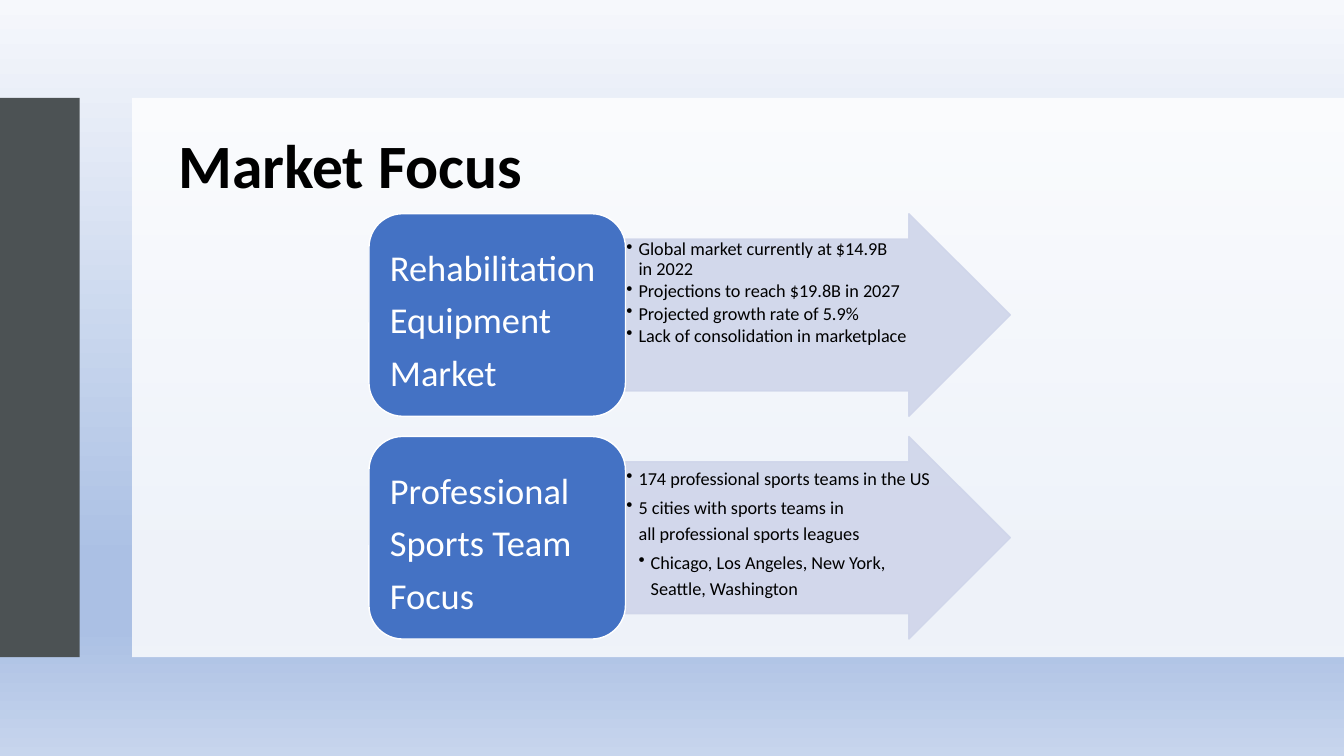
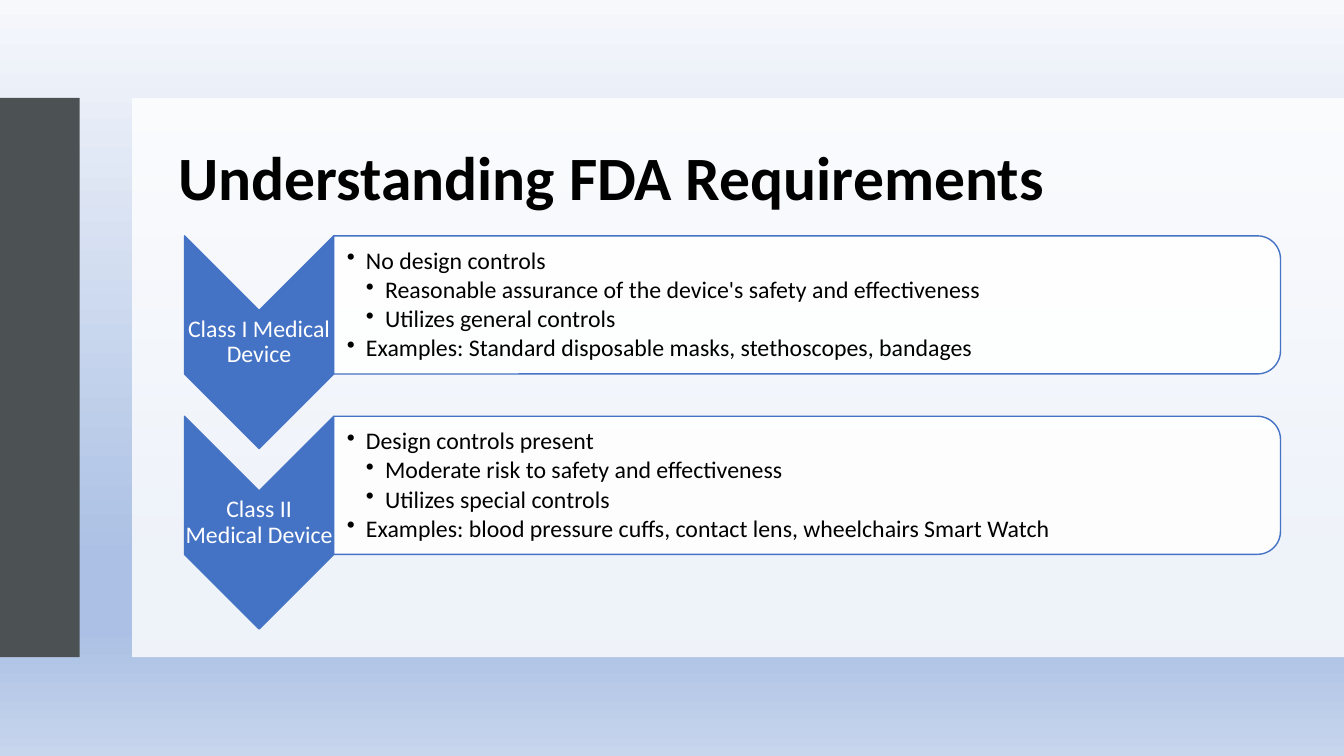
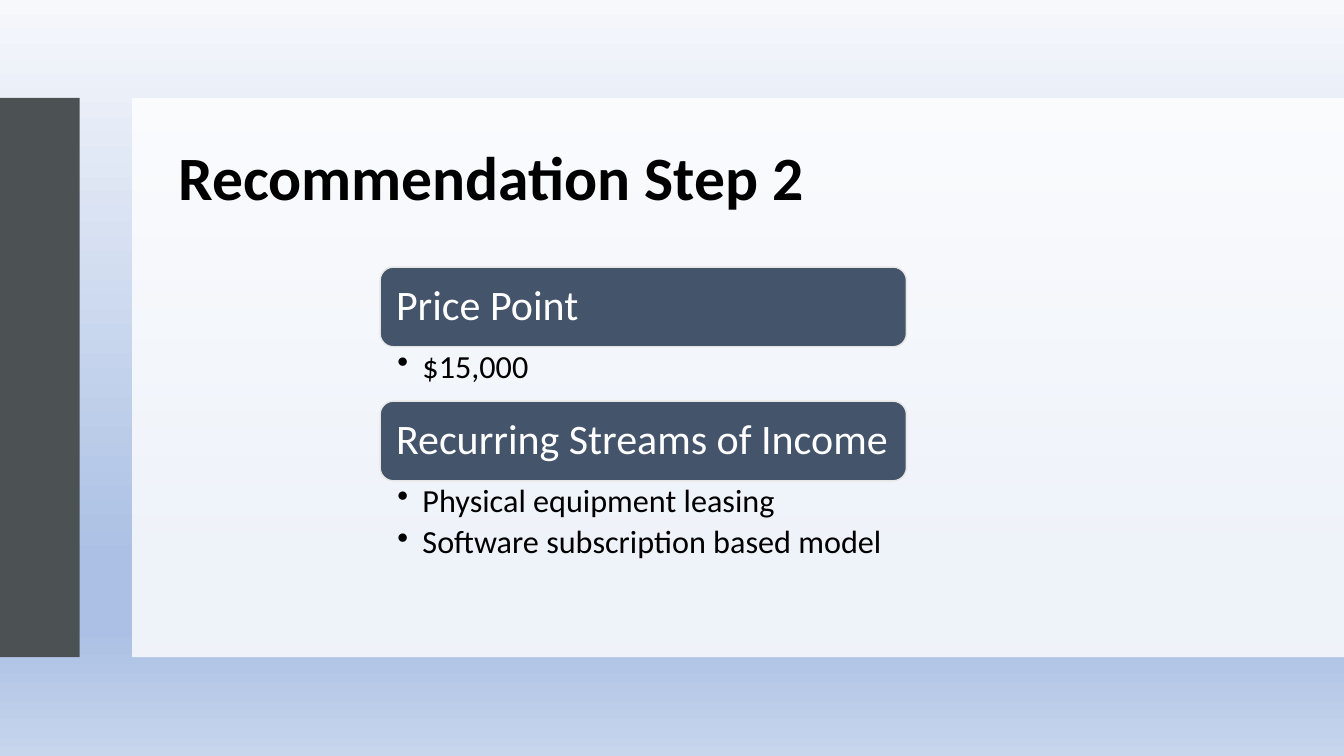
from lxml import etree
from pptx import Presentation
from pptx.dml.color import RGBColor
from pptx.enum.shapes import MSO_SHAPE
from pptx.enum.text import MSO_ANCHOR, PP_ALIGN
from pptx.oxml.ns import qn
from pptx.util import Inches, Pt

RECTANGLE = MSO_SHAPE.RECTANGLE
ROUNDED = MSO_SHAPE.ROUNDED_RECTANGLE
ROUNDED_TOP = MSO_SHAPE.ROUND_2_SAME_RECTANGLE
ARROW = MSO_SHAPE.RIGHT_ARROW
CHEVRON = MSO_SHAPE.CHEVRON
TOP, MIDDLE = MSO_ANCHOR.TOP, MSO_ANCHOR.MIDDLE
LEFT, CENTER = PP_ALIGN.LEFT, PP_ALIGN.CENTER

FONT = "Calibri"
NBSP = chr(160)
WIDTH, HEIGHT = 13.33, 7.5
COLORS = {
    "black": "000000",
    "white": "FFFFFF",
    "band": "4C5254",
    "blue": "4472C4",
    "pale": "CFD5EA",
    "slate": "44546A",
    "edge": "E7E6E6",
}
BACKDROP_STOPS = [(0, "F6F8FC"), (74, "ABC0E4"), (83, "ABC0E4"), (100, "C7D5ED")]
THIN_INSETS = (0.01, 0.01, 0.01, 0.01)

# Slide content: (heading, [(depth, text), ...])
MARKETS = [
    ("Rehabilitation Equipment Market", 0.9, [
        (1, f"Global market currently at $14.9B in{NBSP}2022"),
        (1, "Projections to reach $19.8B in 2027"),
        (1, "Projected growth rate of 5.9%"),
        (1, "Lack of consolidation in marketplace"),
    ]),
    ("Professional Sports Team Focus", 1.2, [
        (1, "174 professional sports teams in the US"),
        (1, f"5 cities with sports teams in all{NBSP}professional sports leagues"),
        (2, f"Chicago, Los Angeles, New York, Seattle,{NBSP}Washington"),
    ]),
]
DEVICE_CLASSES = [
    ("Class I Medical Device", [
        (1, "No design controls"),
        (2, "Reasonable assurance of the device's safety and effectiveness"),
        (2, "Utilizes general controls"),
        (1, "Examples: Standard disposable masks, stethoscopes, bandages"),
    ]),
    ("Class II Medical Device", [
        (1, "Design controls present"),
        (2, "Moderate risk to safety and effectiveness"),
        (2, "Utilizes special controls"),
        (1, "Examples: blood pressure cuffs, contact lens, wheelchairs Smart Watch"),
    ]),
]
INCOME = [
    ("Price Point", 0.54, [(1, "$15,000")]),
    ("Recurring Streams of Income", 0.87, [
        (1, "Physical equipment leasing"),
        (1, "Software subscription based model"),
    ]),
]


def rgb(name):
    return RGBColor.from_string(COLORS[name])


def add_shape(slide, preset, box, fill, line=None, opacity=100, quarter_turn=False):
    """Draw a preset shape; box is the area it covers on the slide."""
    left, top, width, height = box
    if quarter_turn:
        left, top = left + (width - height) / 2, top + (height - width) / 2
        width, height = height, width
    shape = slide.shapes.add_shape(
        preset, Inches(left), Inches(top), Inches(width), Inches(height))
    shape.shadow.inherit = False
    shape.rotation = 90 if quarter_turn else 0
    shape.fill.solid()
    shape.fill.fore_color.rgb = rgb(fill)
    if line:
        shape.line.color.rgb = rgb(line)
        shape.line.width = Pt(1)
    else:
        shape.line.fill.background()
    if opacity < 100:
        for color in shape._element.spPr.iter(qn("a:srgbClr")):
            if color.get("val") == COLORS[fill]:
                etree.SubElement(color, qn("a:alpha"), val=str(opacity * 1000))
    return shape


def add_text_box(slide, box):
    return slide.shapes.add_textbox(*[Inches(length) for length in box])


def write(shape, items, size, color, insets, anchor=MIDDLE, align=LEFT,
          spacing=0.9, after=0.0, indent=0.0, bold=False):
    """Fill a shape with (depth, text) paragraphs; depth 0 has no bullet."""
    frame = shape.text_frame
    frame.word_wrap = True
    frame.vertical_anchor = anchor
    (frame.margin_left, frame.margin_top,
     frame.margin_right, frame.margin_bottom) = map(Inches, insets)
    for index, (depth, text) in enumerate(items):
        paragraph = frame.add_paragraph() if index else frame.paragraphs[0]
        if depth:
            properties = paragraph._p.get_or_add_pPr()
            properties.set("marL", str(Inches(indent * depth)))
            properties.set("indent", str(Inches(-indent)))
            etree.SubElement(properties, qn("a:buChar"), char="•")
        paragraph.alignment = align
        paragraph.line_spacing = spacing
        paragraph.space_after = Pt(round(size * after, 1))
        run = paragraph.add_run()
        run.text = text
        run.font.name = FONT
        run.font.size = Pt(size)
        run.font.bold = bold
        run.font.color.rgb = rgb(color)


def add_backdrop(slide):
    shape = add_shape(slide, RECTANGLE, (0, 0, WIDTH, HEIGHT), "white")
    shape.fill.gradient()
    shape.fill.gradient_angle = 270
    stops = shape._element.spPr.find(qn("a:gradFill")).find(qn("a:gsLst"))
    for stop in list(stops):
        stops.remove(stop)
    for position, color in BACKDROP_STOPS:
        stop = etree.SubElement(stops, qn("a:gs"), pos=str(position * 1000))
        etree.SubElement(stop, qn("a:srgbClr"), val=color)


def add_base_slide(presentation, title, title_top=1.15):
    """Start a slide with the shared backdrop, side band, panel and title."""
    slide = presentation.slides.add_slide(presentation.slide_layouts[6])
    add_backdrop(slide)
    add_shape(slide, RECTANGLE, (0, 0.97, 0.79, 5.55), "band")
    add_shape(slide, RECTANGLE, (1.31, 0.97, 12.02, 5.55), "white", opacity=80)
    title_box = add_text_box(slide, (1.67, title_top, 10.35, 1.29))
    write(title_box, [(0, title)], 44, "black", (0.1, 0.05, 0.1, 0.05), bold=True)
    return slide


def add_market_row(slide, box, heading, spacing, points):
    """Rounded label on the left, arrow with bullets on the right."""
    left, top, width, height = box
    label_width = width * 0.4
    arrow_left, arrow_width = left + label_width, width - label_width
    arrow = add_shape(slide, ARROW, (arrow_left, top, arrow_width, height),
                      "pale", "pale", opacity=90)
    arrow.adjustments[0], arrow.adjustments[1] = 0.75, 0.5
    bullets = add_text_box(
        slide, (arrow_left, top + height / 8, arrow_width - height * 0.375, height * 0.75))
    write(bullets, points, 13, "black", THIN_INSETS, anchor=TOP,
          spacing=spacing, after=0.15, indent=0.12)
    label = add_shape(slide, ROUNDED, (left, top, label_width, height), "blue", "white")
    write(label, [(0, heading)], 26, "white", (0.11, 0.05, 0.11, 0.05),
          spacing=1.2, after=0.35)


def add_class_row(slide, box, heading, points):
    """Downward chevron on the left, bullet panel on the right."""
    left, top, width, height = box
    chevron_width, panel_height = 1.48, 1.37
    panel_left, panel_width = left + chevron_width, width - chevron_width
    add_shape(slide, CHEVRON, (left, top, chevron_width, height),
              "blue", "blue", quarter_turn=True)
    label = add_text_box(
        slide, (left, top + chevron_width / 2, chevron_width, height - chevron_width))
    write(label, [(0, heading)], 17, "white", THIN_INSETS, align=CENTER, after=0.35)
    add_shape(slide, ROUNDED_TOP, (panel_left, top, panel_width, panel_height),
              "white", "blue", opacity=90, quarter_turn=True)
    bullets = add_text_box(slide, (panel_left, top + 0.07, panel_width - 0.07, 1.24))
    write(bullets, points, 17, "black", (0.13, 0.01, 0.01, 0.01),
          after=0.15, indent=0.19)


def add_income_block(slide, box, heading, points):
    """Heading bar with bullets below it."""
    left, top, width, height = box
    bar_height = 0.79
    bar = add_shape(slide, ROUNDED, (left, top, width, bar_height), "slate", "edge")
    write(bar, [(0, heading)], 30, "white", (0.12, 0.12, 0.05, 0.12), after=0.35)
    bullets = add_text_box(slide, (left, top + bar_height, width, height - bar_height))
    write(bullets, points, 23, "black", (0.17, 0.04, 0.23, 0.04), anchor=TOP,
          after=0.2, indent=0.25)


def build_market_slide(presentation):
    slide = add_base_slide(presentation, "Market Focus", title_top=1.03)
    for index, (heading, spacing, points) in enumerate(MARKETS):
        box = (3.66, 2.12 + index * 2.21, 6.36, 2.01)
        add_market_row(slide, box, heading, spacing, points)


def build_requirements_slide(presentation):
    slide = add_base_slide(presentation, "Understanding FDA Requirements")
    for index, (heading, points) in enumerate(DEVICE_CLASSES):
        add_class_row(slide, (1.83, 2.34 + index * 1.79, 10.87, 2.11), heading, points)


def build_recommendation_slide(presentation):
    slide = add_base_slide(presentation, "Recommendation Step 2")
    top = 2.65
    for heading, list_height, points in INCOME:
        height = 0.79 + list_height
        add_income_block(slide, (3.77, top, 5.22, height), heading, points)
        top += height


def main():
    presentation = Presentation()
    presentation.slide_width = Inches(WIDTH)
    presentation.slide_height = Inches(HEIGHT)
    build_market_slide(presentation)
    build_requirements_slide(presentation)
    build_recommendation_slide(presentation)
    presentation.save("out.pptx")


if __name__ == "__main__":
    main()
